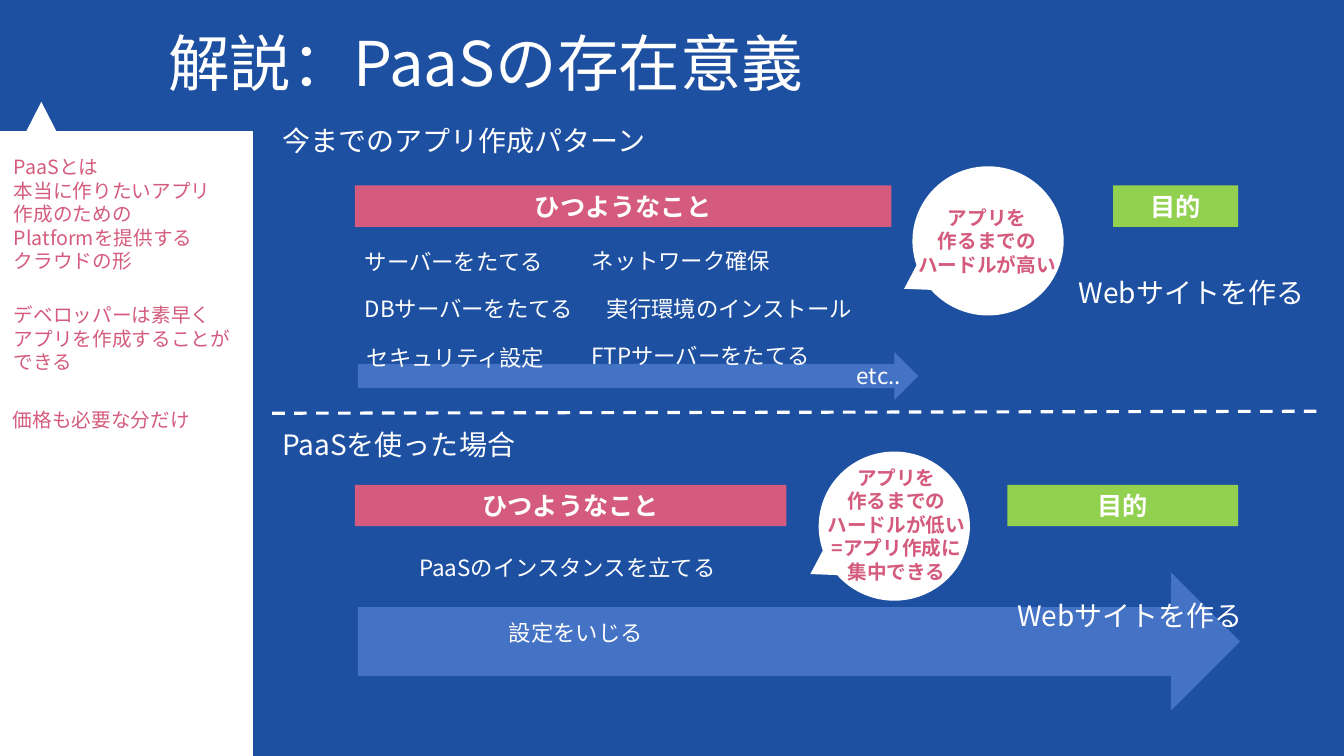
from pptx import Presentation
from pptx.dml.color import RGBColor
from pptx.enum.dml import MSO_LINE
from pptx.enum.shapes import MSO_CONNECTOR, MSO_SHAPE
from pptx.enum.text import MSO_ANCHOR, PP_ALIGN
from pptx.oxml.ns import qn
from pptx.util import Inches, Pt
from lxml import etree

RECTANGLE = MSO_SHAPE.RECTANGLE
TRIANGLE = MSO_SHAPE.ISOSCELES_TRIANGLE
ARROW = MSO_SHAPE.RIGHT_ARROW
CALLOUT = MSO_SHAPE.OVAL_CALLOUT
LEFT, CENTER = PP_ALIGN.LEFT, PP_ALIGN.CENTER
TOP, MIDDLE = MSO_ANCHOR.TOP, MSO_ANCHOR.MIDDLE

WHITE = RGBColor(0xFF, 0xFF, 0xFF)
NAVY = RGBColor(0x1E, 0x50, 0xA2)
BLUE = RGBColor(0x44, 0x72, 0xC4)
GREEN = RGBColor(0x92, 0xD0, 0x50)
PINK = RGBColor(0xD5, 0x5B, 0x7E)
FONT = "Noto Sans CJK JP"

TITLE = "解説：PaaSの存在意義"
NEEDS, PURPOSE, GOAL = "ひつようなこと", "目的", "Webサイトを作る"

SIDEBAR = [
    (0.04, 1.49, 2.18, ["PaaSとは", "本当に作りたいアプリ作成のための",
                        "Platformを提供する", "クラウドの形"]),
    (0.04, 2.96, 2.5, ["デベロッパーは素早く", "アプリを作成することが", "できる"]),
    (0.03, 4, 2.5, ["価格も必要な分だけ"]),
]

SCENARIOS = [
    dict(
        heading="今までのアプリ作成パターン", heading_top=1.18, bar_top=1.84,
        needs_width=5.32, purpose_left=11.04, goal=(10.6, 2.68),
        arrow=(3.55, 3.49, 5.56, 0.48),
        steps=[
            ("サーバーをたてる", 3.52, 2.41, 2.18),
            ("DBサーバーをたてる", 3.52, 2.88, 2.38),
            ("セキュリティ設定", 3.54, 3.36, 2.38),
            ("ネットワーク確保", 5.77, 2.4, 2.38),
            ("実行環境のインストール", 5.92, 2.88, 2.93),
            ("FTPサーバーをたてる", 5.77, 3.34, 2.93),
            ("etc..", 8.4, 3.54, 0.89),
        ],
        callout=(9.05, 1.65), remark_at=(8.7, 1.99),
        remark=["アプリを", "作るまでの", "ハードルが高い"],
    ),
    dict(
        heading="PaaSを使った場合", heading_top=4.19, bar_top=4.81,
        needs_width=4.28, purpose_left=9.99, goal=(9.99, 5.89),
        arrow=(3.55, 5.68, 8.75, 1.37),
        steps=[
            ("PaaSのインスタンスを立てる", 4.06, 5.45, 3.2),
            ("設定をいじる", 4.95, 6.09, 3.2),
        ],
        callout=(8.12, 4.48), remark_at=(7.8, 4.57),
        remark=["アプリを", "作るまでの", "ハードルが低い", "=アプリ作成に", "集中できる"],
    ),
]

WIDTH, HEIGHT = 13.33, 7.5
HEADER_HEIGHT, SIDEBAR_WIDTH = 1.3, 2.51
HEADING_LEFT, NEEDS_LEFT, PURPOSE_RIGHT = 2.7, 3.52, 12.28
BAR_HEIGHT = 0.41

prs = Presentation()
prs.slide_width, prs.slide_height = Inches(WIDTH), Inches(HEIGHT)
slide = prs.slides.add_slide(prs.slide_layouts[6])


def write(frame, lines, size, color, bold=False, align=LEFT, anchor=TOP, spacing=None):
    frame.word_wrap = True
    frame.vertical_anchor = anchor
    for number, line in enumerate(lines):
        paragraph = frame.paragraphs[0] if number == 0 else frame.add_paragraph()
        paragraph.alignment = align
        if spacing:
            paragraph.line_spacing = spacing
        run = paragraph.add_run()
        run.text = line
        run.font.size, run.font.bold = Pt(size), bold
        run.font.color.rgb = color
        run.font.name = FONT
        etree.SubElement(run.font._element, qn("a:ea"), typeface=FONT)


def add_text(left, top, width, lines, size, color=WHITE, height=None, **style):
    height = height or 0.1 + len(lines) * size / 60
    box = slide.shapes.add_textbox(*map(Inches, (left, top, width, height)))
    write(box.text_frame, lines, size, color, **style)


def add_block(kind, left, top, width, height, fill):
    block = slide.shapes.add_shape(kind, *map(Inches, (left, top, width, height)))
    block.shadow.inherit = False
    block.fill.solid()
    block.fill.fore_color.rgb = fill
    block.line.fill.background()
    return block


def add_bar(left, top, width, label, fill):
    bar = add_block(RECTANGLE, left, top, width, BAR_HEIGHT, fill)
    write(bar.text_frame, [label], 18, WHITE, bold=True, align=CENTER, anchor=MIDDLE)


add_block(RECTANGLE, SIDEBAR_WIDTH, HEADER_HEIGHT,
          WIDTH - SIDEBAR_WIDTH, HEIGHT - HEADER_HEIGHT, NAVY)
add_block(RECTANGLE, 0, 0, WIDTH, HEADER_HEIGHT, NAVY)
add_block(TRIANGLE, 0.15, 1.01, 0.52, 0.51, WHITE)
add_text(1.57, 0.15, 11.33, [TITLE], 44, height=1.03, anchor=MIDDLE, spacing=0.9)

for left, top, width, lines in SIDEBAR:
    add_text(left, top, width, lines, 14, PINK)

divider = slide.shapes.add_connector(
    MSO_CONNECTOR.STRAIGHT, *map(Inches, (HEADING_LEFT, 4.1, 13.06, 4.08)))
divider.line.color.rgb = WHITE
divider.line.width = Pt(2.25)
divider.line.dash_style = MSO_LINE.DASH
etree.SubElement(divider._element.spPr, qn("a:effectLst"))

for scenario in SCENARIOS:
    add_block(ARROW, *scenario["arrow"], BLUE)
    add_text(HEADING_LEFT, scenario["heading_top"], 4.04, [scenario["heading"]], 20)
    bar_top, purpose_left = scenario["bar_top"], scenario["purpose_left"]
    add_bar(NEEDS_LEFT, bar_top, scenario["needs_width"], NEEDS, PINK)
    add_bar(purpose_left, bar_top, PURPOSE_RIGHT - purpose_left, PURPOSE, GREEN)
    add_text(*scenario["goal"], 2.46, [GOAL], 20)
    for step, left, top, width in scenario["steps"]:
        add_text(left, top, width, [step], 16)
    callout = add_block(CALLOUT, *scenario["callout"], 1.5, 1.48, WHITE)
    callout.adjustments[0], callout.adjustments[1] = -0.555, 0.321
    add_text(*scenario["remark_at"], 2.18, scenario["remark"], 14, PINK,
             bold=True, align=CENTER)

prs.save("out.pptx")
